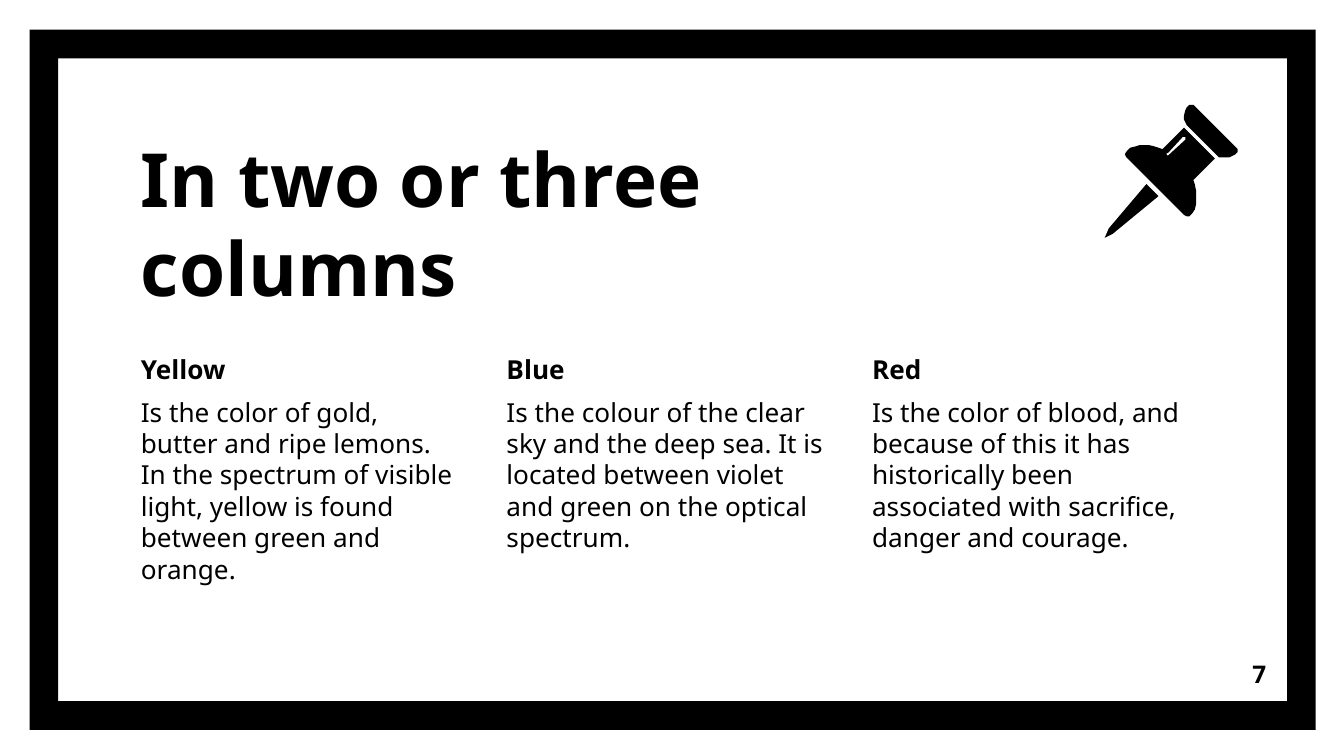
from dataclasses import dataclass

from pptx import Presentation
from pptx.dml.color import RGBColor
from pptx.enum import shapes, text
from pptx.util import Inches, Pt


@dataclass(frozen=True)
class Theme:
    ink: RGBColor = RGBColor(0, 0, 0)
    paper: RGBColor = RGBColor(255, 255, 255)
    font: str = "Noto Sans"
    title: int = 40
    body: int = 14
    page: int = 13
    gap: int = 6


@dataclass(frozen=True)
class Column:
    head: str
    body: str


THEME = Theme()
COLUMNS = [
    Column("Yellow", "Is the color of gold, butter and ripe lemons. In the spectrum of "
           "visible light, yellow is found between green and orange."),
    Column("Blue", "Is the colour of the clear sky and the deep sea. It is located "
           "between violet and green on the optical spectrum."),
    Column("Red", "Is the color of blood, and because of this it has historically been "
           "associated with sacrifice, danger and courage."),
]
LEFT, TOP, WIDTH, HEIGHT, STEP = 0.95, 2.53, 2.58, 2.23, 2.72

# Pushpin outlines, in hundredths of an inch
NEEDLE = [(853, 137), (825, 170), (822, 177), (828, 174), (862, 146)]
CAP = [(886, 78), (885, 78), (883, 80), (882, 82), (881, 86), (881, 89), (882, 91),
       (883, 93), (906, 116), (907, 117), (909, 117), (913, 117), (915, 117),
       (917, 116), (919, 115), (920, 114), (921, 113), (921, 111), (920, 110),
       (889, 79), (888, 78)]
SHINE = [(881, 102), (882, 102), (882, 104), (870, 115), (869, 116), (868, 115),
         (868, 114), (869, 114), (880, 102)]
BODY = [(881, 95), (865, 111), (862, 110), (859, 109), (855, 108), (848, 108),
        (845, 109), (841, 110), (838, 113), (837, 115), (838, 117), (881, 160),
        (883, 161), (885, 161), (887, 159), (889, 156), (890, 152), (890, 142),
        (889, 137), (888, 134), (904, 118)]
PIN = [[NEEDLE], [CAP], [SHINE, BODY]]


def paint(shape) -> None:
    shape.shadow.inherit = False
    shape.fill.solid()
    shape.fill.fore_color.rgb = THEME.ink
    shape.line.fill.background()


def write(slide, box: tuple, lines: list[str], *, size: int, bold: int = 1,
          align=text.PP_ALIGN.LEFT, anchor=text.MSO_ANCHOR.TOP) -> None:
    """Write one paragraph per line; the first `bold` of them are bold."""
    frame = slide.shapes.add_textbox(*map(Inches, box)).text_frame
    frame.word_wrap = True
    frame.vertical_anchor = anchor
    frame.margin_left = frame.margin_right = Inches(0.1)
    frame.margin_top = frame.margin_bottom = Inches(0.1)
    for i, line in enumerate(lines):
        para = frame.add_paragraph() if i else frame.paragraphs[0]
        para.alignment = align
        if i:
            para.space_before = Pt(THEME.gap)
        run = para.add_run()
        run.text = line
        font = run.font
        font.name, font.size, font.bold = THEME.font, Pt(size), i < bold
        font.color.rgb = THEME.ink


def trace(slide, loops: list) -> None:
    """Draw closed outlines as one shape; inner loops become holes."""
    pen = slide.shapes.build_freeform(*loops[0][0], scale=Inches(0.01))
    pen.add_line_segments(loops[0][1:], close=True)
    for loop in loops[1:]:
        pen.move_to(*loop[0])
        pen.add_line_segments(loop[1:], close=True)
    paint(pen.convert_to_shape())


def main() -> None:
    deck = Presentation()
    deck.slide_width, deck.slide_height = Inches(10), Inches(10 * 9 / 16)
    slide = deck.slides.add_slide(deck.slide_layouts[6])
    slide.background.fill.solid()
    slide.background.fill.fore_color.rgb = THEME.paper

    # Border
    border = slide.shapes.add_shape(shapes.MSO_SHAPE.FRAME,
                                    *map(Inches, (0.22, 0.22, 9.57, 5.21)))
    border.adjustments[0] = 0.041
    paint(border)

    # Title and columns
    write(slide, (LEFT, 0.93, 5.57, 1.49), ["In two or three columns"],
          size=THEME.title, anchor=text.MSO_ANCHOR.BOTTOM)
    for i, col in enumerate(COLUMNS):
        write(slide, (LEFT + i * STEP, TOP, WIDTH, HEIGHT), [col.head, col.body],
              size=THEME.body)

    # Pushpin
    for loops in PIN:
        trace(slide, loops)

    # Page number
    write(slide, (8.92, 4.8, 0.6, 0.43), ["7"], size=THEME.page,
          align=text.PP_ALIGN.RIGHT, anchor=text.MSO_ANCHOR.MIDDLE)
    deck.save("out.pptx")


if __name__ == "__main__":
    main()
